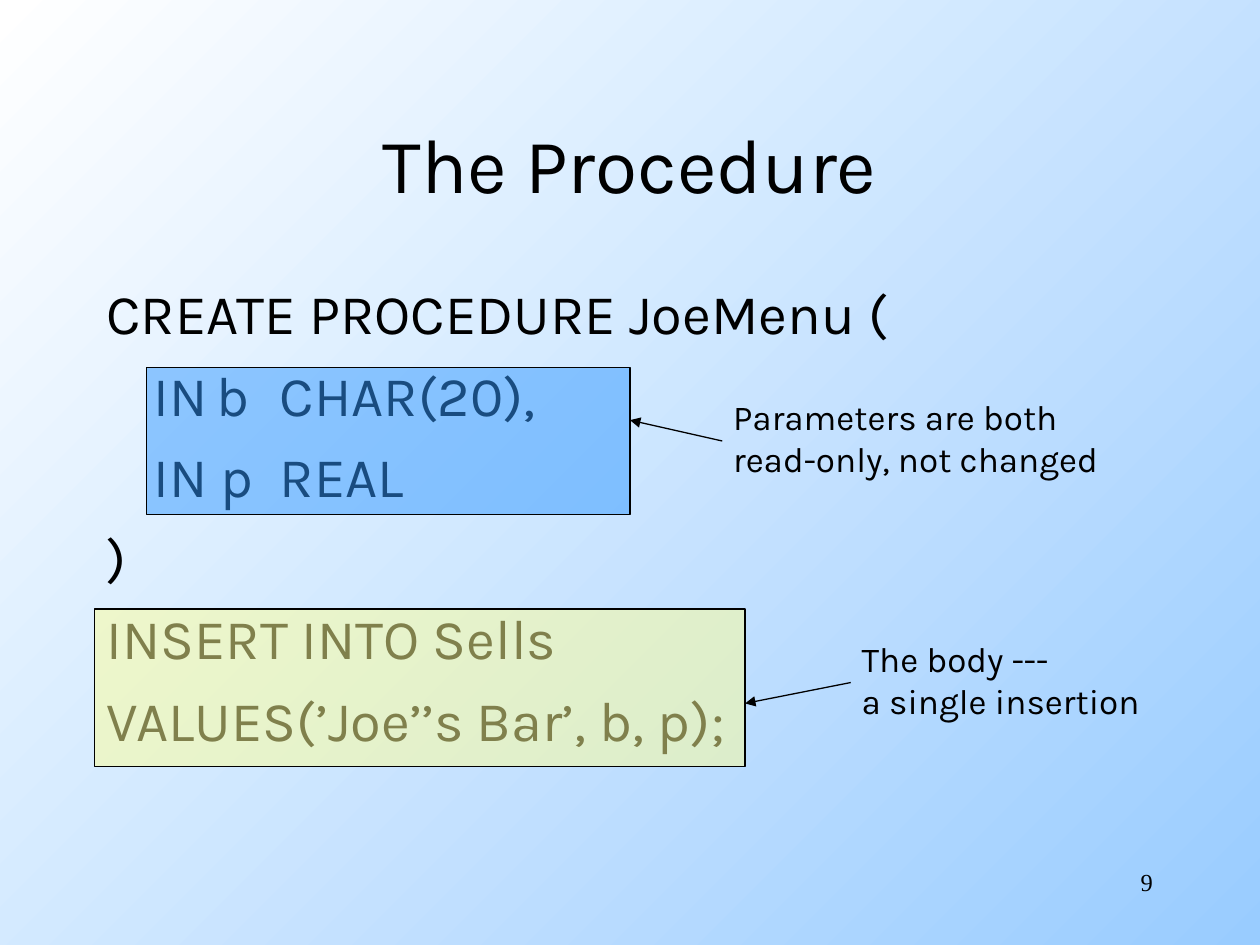
from lxml import etree
from pptx import Presentation
from pptx.dml.color import RGBColor
from pptx.enum.shapes import MSO_CONNECTOR, MSO_SHAPE
from pptx.enum.text import MSO_ANCHOR, MSO_AUTO_SIZE, PP_ALIGN
from pptx.oxml.ns import qn
from pptx.util import Cm, Pt

BLACK = RGBColor(0x00, 0x00, 0x00)
WHITE = RGBColor(0xFF, 0xFF, 0xFF)
SKY = RGBColor(0x99, 0xCC, 0xFF)
BLUE = RGBColor(0x33, 0x99, 0xFF)
YELLOW = RGBColor(0xFF, 0xFF, 0x99)

TAB_STEP = Cm(2.54)
CODE_INDENT = Cm(0.95)
CODE_LINES = [
    "CREATE PROCEDURE JoeMenu (",
    "\tIN\tb\tCHAR(20),",
    "\tIN p\tREAL",
    ")",
    "INSERT INTO Sells",
    "VALUES(’Joe’’s Bar’, b, p);",
]


def set_background(slide):
    fill = slide.background.fill
    fill.gradient()
    fill.gradient_angle = 315  # counter-clockwise: runs to the lower right
    for stop, color in zip(fill.gradient_stops, (WHITE, SKY)):
        stop.color.rgb = color


def add_text(shapes, box, lines, size, font="Karla", align=PP_ALIGN.LEFT, **frame_format):
    frame = shapes.add_textbox(*map(Cm, box)).text_frame
    for name, value in {"word_wrap": True, **frame_format}.items():
        setattr(frame, name, value)
    for index, line in enumerate(lines):
        paragraph = frame.paragraphs[0] if index == 0 else frame.add_paragraph()
        paragraph.alignment = align
        run = paragraph.add_run()
        run.text = line
        for name, value in {"name": font, "size": Pt(size)}.items():
            setattr(run.font, name, value)
        run.font.color.rgb = BLACK
    return frame


def add_code(slide, box):
    frame = add_text(slide.shapes, box, CODE_LINES, 32)
    for index, paragraph in enumerate(frame.paragraphs):
        # Hanging indent with evenly spaced tab stops
        properties = paragraph._p.get_or_add_pPr()
        properties.set("marL", str(CODE_INDENT))
        properties.set("indent", str(-CODE_INDENT))
        tabs = etree.SubElement(properties, qn("a:tabLst"))
        for stop in range(8):
            etree.SubElement(tabs, qn("a:tab"), pos=str(stop * TAB_STEP), algn="l")
        if index:
            paragraph.space_before = Pt(8)


def add_callout(slide, box, color, note, note_width, gap, tip_drop):
    """Highlight filling the box, with a note to its right and an arrow back."""
    left, top, width, height = box
    shapes = slide.shapes.add_group_shape().shapes

    # Half-transparent highlight
    highlight = shapes.add_shape(MSO_SHAPE.RECTANGLE, *map(Cm, box))
    highlight.shadow.inherit = False
    highlight.fill.solid()
    highlight.fill.fore_color.rgb = color
    color_element = highlight._element.spPr.find(qn("a:solidFill"))[0]
    etree.SubElement(color_element, qn("a:alpha"), val="50000")

    # Note
    right = left + width
    note_left, note_top = right + gap, top + 0.44
    add_text(shapes, (note_left, note_top, note_width, 1.96), note, 20,
             word_wrap=False, auto_size=MSO_AUTO_SIZE.SHAPE_TO_FIT_TEXT)

    # Arrow from the note to the highlight's right edge
    ends = (note_left + 0.03, note_top + 1.04, right, top + tip_drop)
    arrow = shapes.add_connector(MSO_CONNECTOR.STRAIGHT, *map(Cm, ends))
    for part in (highlight, arrow):
        part.line.color.rgb = BLACK
        part.line.width = Pt(0.75)
    etree.SubElement(arrow.line._get_or_add_ln(), qn("a:tailEnd"), type="triangle")
    etree.SubElement(arrow._element.spPr, qn("a:effectLst"))


def main():
    presentation = Presentation()
    presentation.slide_width, presentation.slide_height = Cm(25.4), Cm(19.05)
    slide = presentation.slides.add_slide(presentation.slide_layouts[6])
    set_background(slide)

    # Page number, title and code
    add_text(slide.shapes, (18.21, 17.35, 5.28, 1.27), ["9"], 14,
             font="Times New Roman", align=PP_ALIGN.RIGHT)
    add_text(slide.shapes, (1.9, 1.7, 21.6, 3.18), ["The Procedure"], 44,
             align=PP_ALIGN.CENTER, vertical_anchor=MSO_ANCHOR.MIDDLE)
    add_code(slide, (1.9, 5.5, 21.6, 11.43))

    # Callouts for the parameters and the body
    add_callout(slide, (2.96, 7.41, 9.74, 2.96), BLUE,
                ["Parameters are both", "read-only, not changed"], 8.2, 1.83, 1.06)
    add_callout(slide, (1.9, 12.28, 13.12, 3.18), YELLOW,
                ["The body ---", "a single insertion"], 6.2, 2.1, 1.9)

    presentation.save("out.pptx")


if __name__ == "__main__":
    main()
